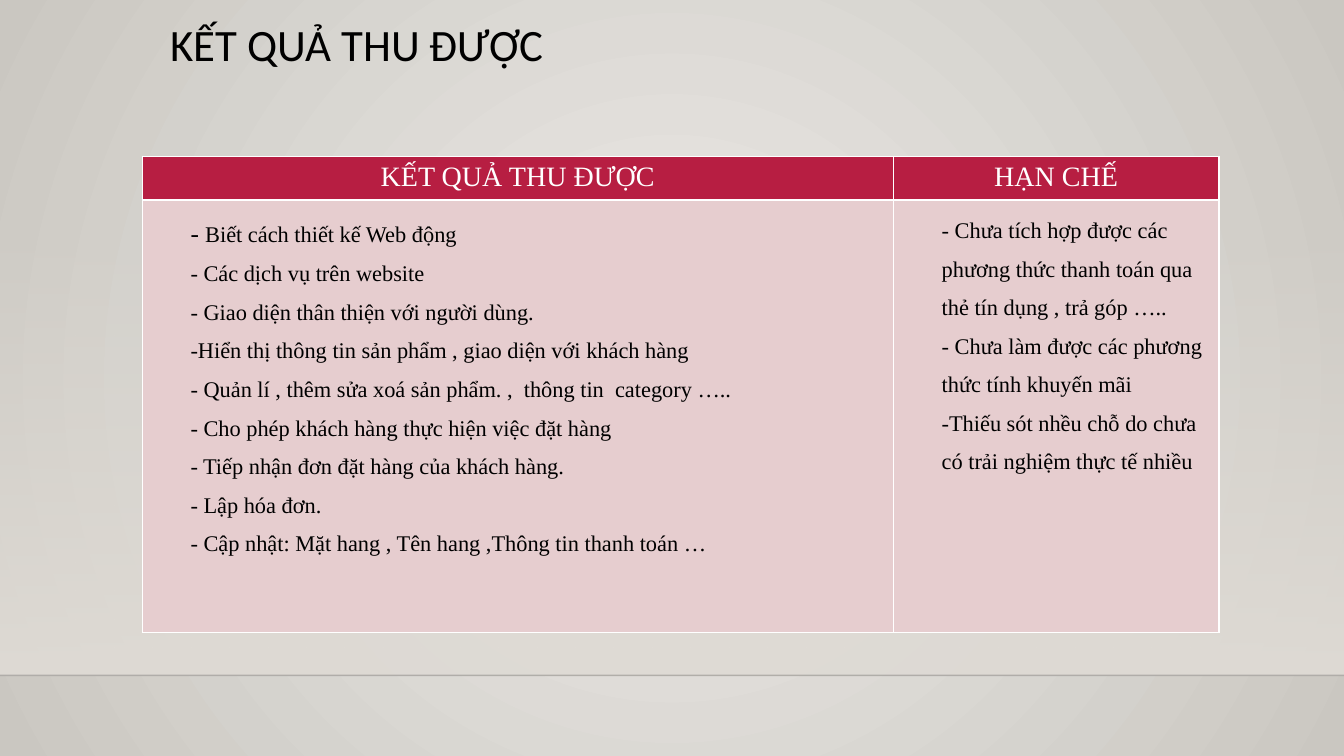
import dataclasses

import lxml.etree
import pptx
import pptx.dml.color
import pptx.enum.shapes
import pptx.enum.text
import pptx.oxml
import pptx.oxml.ns
import pptx.util

Inches = pptx.util.Inches
qn = pptx.oxml.ns.qn

COLORS = {
    "text": "000000",
    "white": "FFFFFF",
    "header": "B71E42",
    "body": "E6CDCF",
    "glow": "ECEAE7",
    "edge": "CAC7C1",
    "wall": "DFDBD5",
    "floor_line": "000001",
}
TITLE_FONT = "Calibri"
TABLE_FONT = "Times New Roman"
SLIDE_WIDTH, FLOOR_TOP = 13.33, 6.7


@dataclasses.dataclass(frozen=True)
class Span:
    text: str
    size: float = 16


@dataclasses.dataclass(frozen=True)
class Column:
    heading: str
    width: float
    items: list[list[Span]]


COLUMNS = [
    Column("KẾT QUẢ THU ĐƯỢC", 7.45, [
        [Span("- ", 18), Span("Biết cách thiết kế Web động")],
        [Span("- Các dịch vụ trên website")],
        [Span("- Giao diện thân thiện với người dùng.")],
        [Span("-Hiển thị thông tin sản phẩm , giao diện với khách hàng")],
        [Span("- Quản lí , thêm sửa xoá sản phẩm. ,  thông tin  category …..")],
        [Span("- Cho phép khách hàng thực hiện việc đặt hàng")],
        [Span("- Tiếp nhận đơn đặt hàng của khách hàng.")],
        [Span("- Lập hóa đơn.")],
        [Span("- Cập nhật: Mặt hang , Tên hang ,Thông tin thanh toán …")],
    ]),
    Column("HẠN CHẾ", 3.23, [
        [Span("- Chưa tích hợp được các phương thức thanh toán qua thẻ tín dụng , trả góp …..")],
        [Span("- Chưa làm được các phương thức tính khuyến mãi")],
        [Span("-Thiếu sót nhều chỗ do chưa có trải nghiệm thực tế nhiều")],
    ]),
]


def rgb(name: str) -> pptx.dml.color.RGBColor:
    return pptx.dml.color.RGBColor.from_string(COLORS[name])


def set_alpha(color_element, percent: int) -> None:
    alpha = lxml.etree.SubElement(color_element, qn("a:alpha"))
    alpha.set("val", str(percent * 1000))


def set_gradient(fill, start: str, end: str):
    """Apply a two-stop gradient and return its XML element."""
    fill.gradient()
    for stop, name in zip(fill.gradient_stops, (start, end)):
        stop.color.rgb = rgb(name)
    for stop, position in zip(fill.gradient_stops, (0, 1)):
        stop.position = position
    return fill._fill._gradFill


def paint_background(page) -> None:
    gradient = set_gradient(page.background.fill, "glow", "edge")
    gradient.remove(gradient.find(qn("a:lin")))
    circle = lxml.etree.SubElement(gradient, qn("a:path"))
    circle.set("path", "circle")
    center = lxml.etree.SubElement(circle, qn("a:fillToRect"))
    for side in "ltrb":
        center.set(side, "50000")


def add_wall(page) -> None:
    """Add the panel that fades in downwards, and the line at its foot."""
    top = 2.21
    wall = page.shapes.add_shape(
        pptx.enum.shapes.MSO_SHAPE.RECTANGLE, 0, Inches(top),
        Inches(SLIDE_WIDTH), Inches(FLOOR_TOP - top))
    wall.shadow.inherit = False
    wall.line.fill.background()
    gradient = set_gradient(wall.fill, "wall", "wall")
    gradient.find(qn("a:lin")).set("ang", "5400000")
    set_alpha(gradient.find(".//" + qn("a:srgbClr")), 0)

    floor = page.shapes.add_connector(
        pptx.enum.shapes.MSO_CONNECTOR.STRAIGHT, 0, Inches(FLOOR_TOP),
        Inches(SLIDE_WIDTH), Inches(FLOOR_TOP))
    floor.line.width = pptx.util.Pt(1)
    floor.line.color.rgb = rgb("floor_line")
    properties = floor._element.spPr
    set_alpha(properties.find(".//" + qn("a:srgbClr")), 20)
    lxml.etree.SubElement(properties, qn("a:effectLst"))


def add_span(para, span: Span, font: str, color: str) -> None:
    run = para.add_run()
    run.text = span.text
    run.font.name = font
    run.font.size = pptx.util.Pt(span.size)
    run.font.color.rgb = rgb(color)


def add_title(page, text: str) -> None:
    box = page.shapes.add_textbox(Inches(1.59), Inches(0.18), Inches(10.5), Inches(1.12))
    box.text_frame.word_wrap = True
    para = box.text_frame.paragraphs[0]
    para.line_spacing = 0.9
    add_span(para, Span(text, 32), TITLE_FONT, "text")


def style_cell(cell, fill: str) -> None:
    """Fill the cell and give it thin white borders."""
    properties = cell._tc.get_or_add_tcPr()
    for side in ("lnL", "lnR", "lnT", "lnB"):
        border = lxml.etree.SubElement(properties, qn(f"a:{side}"))
        border.set("w", str(pptx.util.Pt(1)))
        solid = lxml.etree.SubElement(border, qn("a:solidFill"))
        lxml.etree.SubElement(solid, qn("a:srgbClr")).set("val", COLORS["white"])
    cell.fill.solid()
    cell.fill.fore_color.rgb = rgb(fill)


def fill_heading(cell, heading: str) -> None:
    style_cell(cell, "header")
    para = cell.text_frame.paragraphs[0]
    para.alignment = pptx.enum.text.PP_ALIGN.CENTER
    add_span(para, Span(heading, 20), TABLE_FONT, "white")


def fill_items(cell, items: list[list[Span]]) -> None:
    style_cell(cell, "body")
    frame = cell.text_frame
    for index, spans in enumerate(items):
        para = frame.add_paragraph() if index else frame.paragraphs[0]
        para.level = 1
        para.line_spacing = 1.55
        indent = para._p.get_or_add_pPr()
        indent.set("marL", str(Inches(0.38)))
        indent.set("indent", "0")
        for span in spans:
            add_span(para, span, TABLE_FONT, "text")


def add_results_table(page) -> None:
    heights = (0.42, 4.29)
    width = sum(column.width for column in COLUMNS)
    table = page.shapes.add_table(
        len(heights), len(COLUMNS), Inches(1.41), Inches(1.55),
        Inches(width), Inches(sum(heights))).table
    table.first_row = False
    table.horz_banding = False
    for row, height in zip(table.rows, heights):
        row.height = Inches(height)
    for index, column in enumerate(COLUMNS):
        table.columns[index].width = Inches(column.width)
        fill_heading(table.cell(0, index), column.heading)
        fill_items(table.cell(1, index), column.items)


def main() -> None:
    deck = pptx.Presentation()
    deck.slide_width = Inches(SLIDE_WIDTH)
    deck.slide_height = Inches(7.5)
    page = deck.slides.add_slide(deck.slide_layouts[6])
    paint_background(page)
    add_wall(page)
    add_title(page, "KẾT QUẢ THU ĐƯỢC")
    add_results_table(page)
    deck.save("out.pptx")


if __name__ == "__main__":
    main()
